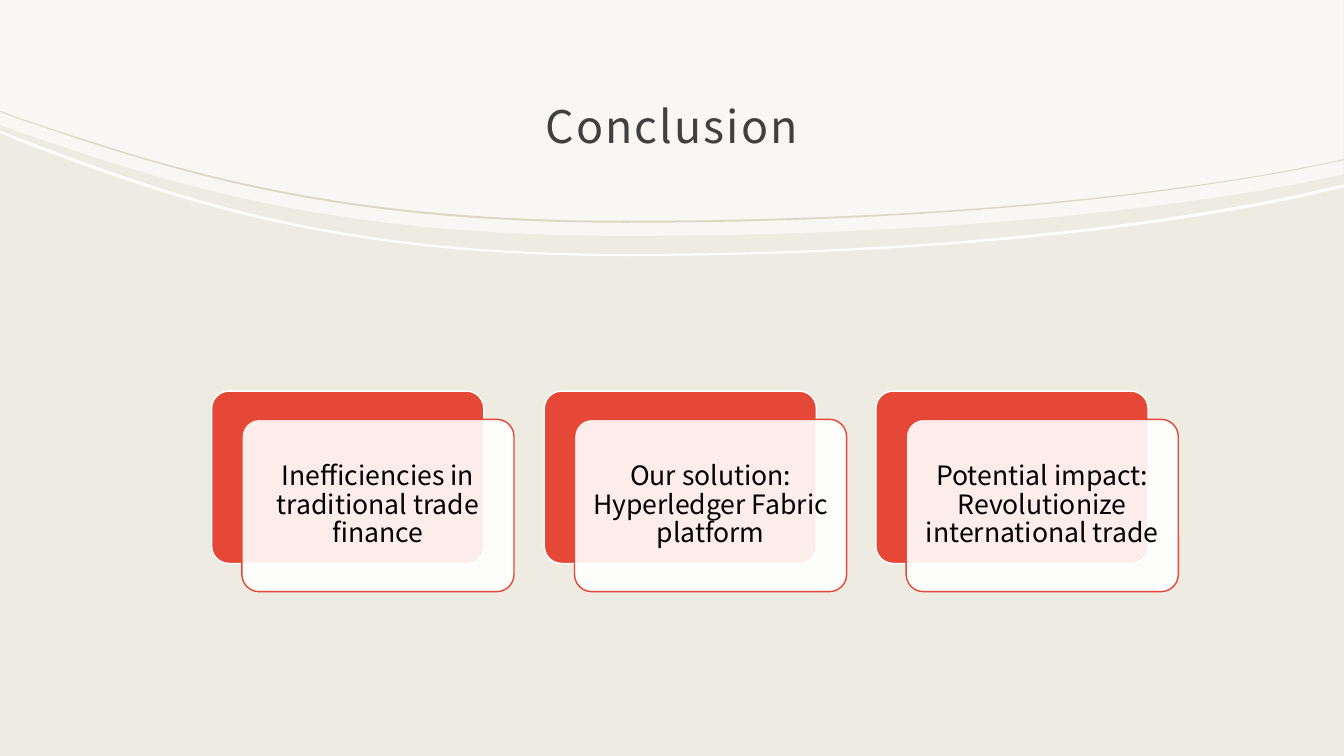
from dataclasses import dataclass

import pptx
import pptx.dml.color
import pptx.enum.shapes
import pptx.enum.text
import pptx.oxml
import pptx.oxml.ns
import pptx.util

EMU_PER_PX = 9144
SLIDE_H = 750
EDGE_XS = (0, 19, 179, 333, 620, 875, 1109, 1289, 1333)
CURVE_OFFSETS = (2, 5)


@dataclass(frozen=True)
class Theme:
    font: str = "Noto Sans CJK JP"
    background: str = "EEEBE2"
    white: str = "FFFFFF"
    accent: str = "E54837"
    tan: str = "DDD7C5"
    title: str = "404040"
    body: str = "000000"
    title_pt: int = 32
    body_pt: int = 19
    line_pt: int = 1


@dataclass(frozen=True)
class Band:
    top: tuple[int, ...]
    bottom: tuple[int, ...]
    color: str
    alpha: int = 100


@dataclass(frozen=True)
class Box:
    left: int
    top: int
    width: int
    height: int

    def shifted(self, dx: int, dy: int) -> "Box":
        return Box(self.left + dx, self.top + dy, self.width, self.height)

    def inset(self, by: int) -> "Box":
        return Box(self.left + by, self.top + by,
                   self.width - 2 * by, self.height - 2 * by)

    def emu(self) -> tuple[int, ...]:
        return tuple(px(v) for v in (self.left, self.top, self.width, self.height))


THEME = Theme()
HEADER = Band(
    (0, 0),
    (124, 131, 186, 234, 234, 234, 216, 182, 173),
    THEME.white,
    60,
)
WHITE_RIBBON = Band(
    (130, 137, 198, 252, 252, 252, 231, 193, 183),
    (132, 140, 201, 254, 254, 254, 234, 196, 186),
    THEME.white,
)
TAN_RIBBON = Band(
    (110, 117, 171, 219, 219, 219, 201, 167, 158),
    (111, 118, 173, 221, 221, 221, 202, 168, 159),
    THEME.tan,
)
TITLE_BOX = Box(133, 59, 1067, 114)
FIRST_CARD = Box(210, 388, 270, 171)
LAST_CARD_LEFT = 869
FRONT_DX, FRONT_DY = 30, 28
TEXT_INSET = 5
MESSAGES = (
    "Inefficiencies in traditional trade finance",
    "Our solution: Hyperledger Fabric platform",
    "Potential impact: Revolutionize international trade",
)


def px(value: int) -> int:
    return value * EMU_PER_PX


def rgb(color: str) -> pptx.dml.color.RGBColor:
    return pptx.dml.color.RGBColor.from_string(color)


def set_fill(sp, color: str, alpha: int = 100) -> None:
    sp.shadow.inherit = False
    sp.fill.solid()
    sp.fill.fore_color.rgb = rgb(color)
    if alpha < 100:
        clr = sp.fill._xPr.find(".//" + pptx.oxml.ns.qn("a:srgbClr"))
        ns = pptx.oxml.ns.nsdecls("a")
        clr.append(pptx.oxml.parse_xml(f'<a:alpha {ns} val="{alpha * 1000}"/>'))


def edge_points(ys: tuple[int, ...]) -> list[tuple[int, int]]:
    xs = EDGE_XS if len(ys) == len(EDGE_XS) else (EDGE_XS[0], EDGE_XS[-1])
    return [(px(x), px(y)) for x, y in zip(xs, ys)]


def curve_edge(segments: list, first_point: int) -> None:
    for offset in CURVE_OFFSETS:
        start = first_point + offset - 1
        trio = segments[start:start + 3]
        ns = pptx.oxml.ns.nsdecls("a")
        curve = pptx.oxml.parse_xml(f"<a:cubicBezTo {ns}/>")
        trio[0].addprevious(curve)
        for segment in trio:
            curve.append(segment[0])
            segment.getparent().remove(segment)


def add_band(s, band: Band) -> None:
    edges = (edge_points(band.top), edge_points(band.bottom)[::-1])
    outline = edges[0] + edges[1]
    builder = s.shapes.build_freeform(*outline[0])
    builder.add_line_segments(outline[1:], close=True)
    sp = builder.convert_to_shape()
    segments = list(sp._element.iter(pptx.oxml.ns.qn("a:lnTo")))
    for first_point, edge in zip((0, len(edges[0])), edges):
        if len(edge) == len(EDGE_XS):
            curve_edge(segments, first_point)
    set_fill(sp, band.color, band.alpha)
    sp.line.fill.background()


def add_text(s, box: Box, text: str, size: int, color: str, spacing: float,
             insets: tuple[int, int, int, int]):
    sp = s.shapes.add_textbox(*box.emu())
    tf = sp.text_frame
    tf.word_wrap = True
    tf.vertical_anchor = pptx.enum.text.MSO_ANCHOR.MIDDLE
    tf.margin_left, tf.margin_top, tf.margin_right, tf.margin_bottom = map(px, insets)
    p = tf.paragraphs[0]
    p.alignment = pptx.enum.text.PP_ALIGN.CENTER
    p.line_spacing = spacing
    r = p.add_run()
    r.text = text
    r.font.name = THEME.font
    r.font.size = pptx.util.Pt(size)
    r.font.color.rgb = rgb(color)
    return r


def add_panel(s, box: Box, fill: str, line: str, alpha: int = 100) -> None:
    kind = pptx.enum.shapes.MSO_SHAPE.ROUNDED_RECTANGLE
    sp = s.shapes.add_shape(kind, *box.emu())
    sp.adjustments[0] = 0.1
    set_fill(sp, fill, alpha)
    sp.line.color.rgb = rgb(line)
    sp.line.width = pptx.util.Pt(THEME.line_pt)


def add_card(s, box: Box, message: str) -> None:
    front = box.shifted(FRONT_DX, FRONT_DY)
    add_panel(s, box, THEME.accent, THEME.white)
    add_panel(s, front, THEME.white, THEME.accent, 90)
    add_text(s, front.inset(TEXT_INSET), message, THEME.body_pt, THEME.body,
             0.9, (8, 8, 8, 8))


def add_title(s, text: str) -> None:
    r = add_text(s, TITLE_BOX, text, THEME.title_pt, THEME.title,
                 1.3, (12, 12, 12, 10))
    r.font._element.set("spc", "150")


def main() -> None:
    prs = pptx.Presentation()
    prs.slide_width, prs.slide_height = px(SLIDE_H) * 16 // 9, px(SLIDE_H)
    s = prs.slides.add_slide(prs.slide_layouts[6])
    s.background.fill.solid()
    s.background.fill.fore_color.rgb = rgb(THEME.background)
    add_band(s, HEADER)
    add_band(s, WHITE_RIBBON)
    add_title(s, "Conclusion")
    add_band(s, TAN_RIBBON)
    pitch = (LAST_CARD_LEFT - FIRST_CARD.left) / (len(MESSAGES) - 1)
    for i, message in enumerate(MESSAGES):
        add_card(s, FIRST_CARD.shifted(round(i * pitch), 0), message)
    prs.save("out.pptx")


if __name__ == "__main__":
    main()
